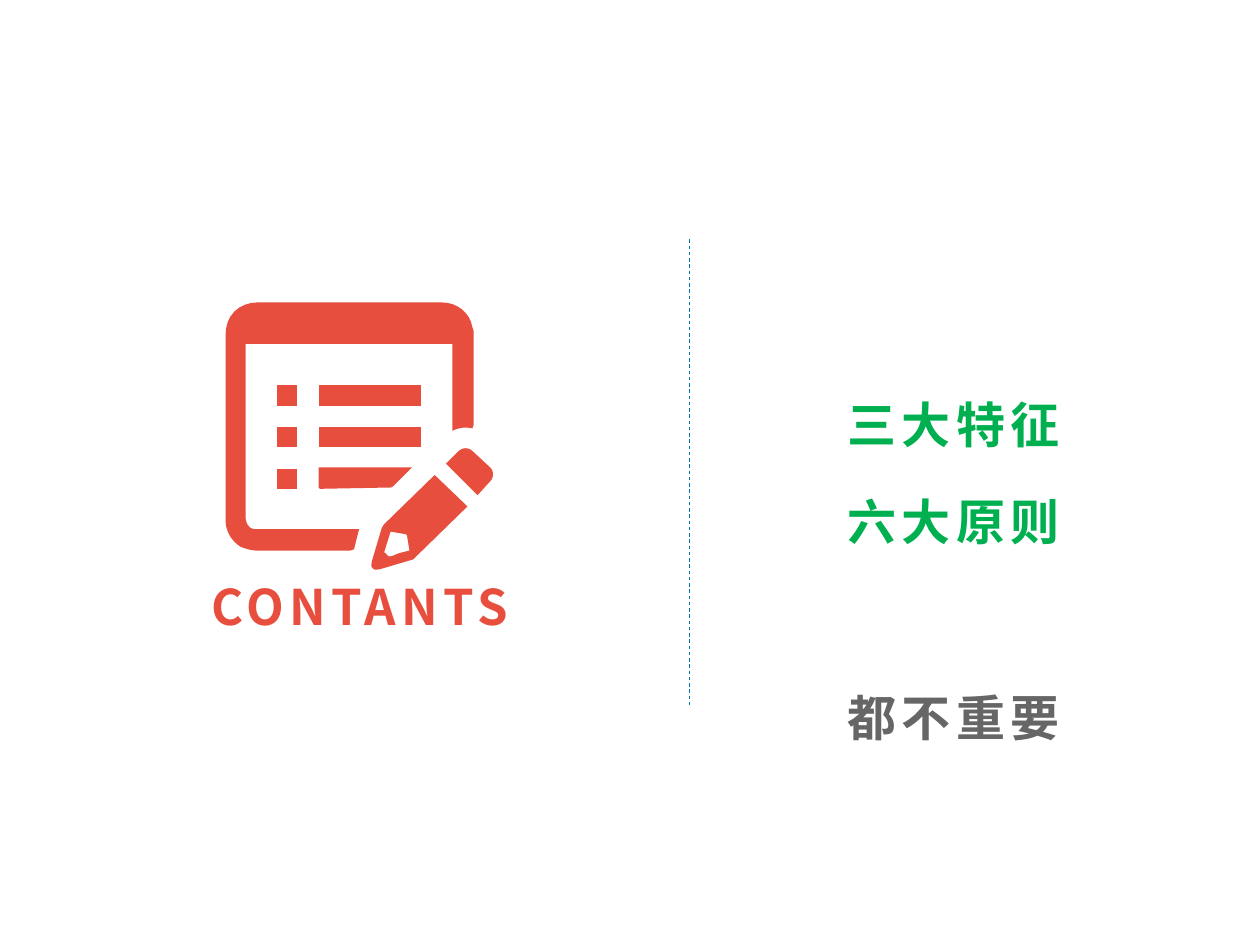
import pptx
import pptx.dml.color
import pptx.enum.dml
import pptx.enum.shapes
import pptx.enum.text
import pptx.oxml
import pptx.oxml.ns
import pptx.util

Inches = pptx.util.Inches

THEME = {
    "font": "Noto Sans CJK SC",
    "size": 28,
    "spacing": 3,
    "red": "E74E3E",
    "green": "00B050",
    "gray": "666666",
    "divider": "0174AB",
}

# Content: wording, colour, top
TOPICS = [
    ("三大特征", "green", 3.08),
    ("六大原则", "green", 3.85),
    ("都不重要", "gray", 5.41),
]
CAPTION = "CONTANTS"

# Icon outlines in inches: a pair is a corner, six numbers are a Bezier curve
UNITS_PER_INCH = 1000
PAGE_FRAME = [
    (2.85, 4.2), (2.81, 4.36), (2.78, 4.37), (2.05, 4.37),
    (2, 4.37, 1.96, 4.36, 1.91, 4.34), (1.83, 4.29, 1.79, 4.21, 1.79, 4.12),
    (1.79, 2.66), (1.79, 2.51, 1.89, 2.4, 2.05, 2.4),
    (3.5, 2.4), (3.63, 2.4, 3.73, 2.48, 3.75, 2.6),
    (3.76, 2.62, 3.76, 2.64, 3.76, 2.66), (3.76, 3.37), (3.75, 3.4),
    (3.7, 3.39, 3.65, 3.39, 3.59, 3.42), (3.59, 2.73), (1.95, 2.73),
    (1.95, 4.1), (1.95, 4.16, 1.98, 4.21, 2.05, 4.2),
]
PENCIL_BODY = [
    (3.45, 3.77), (3.71, 4.02), (3.31, 4.41), (3.28, 4.44), (3.01, 4.52),
    (2.99, 4.52, 2.97, 4.53, 2.96, 4.51), (2.94, 4.5, 2.95, 4.48, 2.95, 4.46),
    (3.03, 4.19), (3.04, 4.18, 3.04, 4.17, 3.05, 4.16),
]
PENCIL_TIP = [
    (3.1, 4.22), (3.05, 4.38), (3.05, 4.38, 3.05, 4.39, 3.06, 4.39),
    (3.08, 4.42, 3.09, 4.42, 3.12, 4.41), (3.17, 4.39), (3.25, 4.37),
    (3.23, 4.25), (3.22, 4.24),
]
ERASER = [
    (3.54, 3.68), (3.64, 3.58), (3.67, 3.55, 3.72, 3.55, 3.75, 3.58),
    (3.89, 3.71), (3.92, 3.74, 3.92, 3.79, 3.89, 3.82), (3.79, 3.93),
]
CUT_ROW = [
    (2.53, 3.71), (3.27, 3.71), (3.12, 3.86),
    (3.11, 3.87, 3.1, 3.87, 3.09, 3.87), (2.54, 3.88), (2.53, 3.87),
]
ROW_TOPS = [3.06, 3.39, 3.72]
ROW_HEIGHT = 0.16
BULLET_LEFT, BULLET_RIGHT = 2.2, 2.36
ROW_LEFT, ROW_RIGHT = 2.53, 3.34


def color(name):
    return pptx.dml.color.RGBColor.from_string(THEME[name])


def trace(outline, steps=8):
    """Turn corners and Bezier curves into a list of points in drawing units."""
    points = []
    for part in outline:
        if len(part) == 2:
            points.append(part)
            continue
        knots = [points[-1], part[:2], part[2:4], part[4:]]
        for step in range(1, steps + 1):
            t = step / steps
            weights = ((1 - t) ** 3, 3 * t * (1 - t) ** 2,
                       3 * t ** 2 * (1 - t), t ** 3)
            points.append(tuple(sum(w * knot[axis] for w, knot in zip(weights, knots))
                                for axis in (0, 1)))
    return [(round(x * UNITS_PER_INCH), round(y * UNITS_PER_INCH)) for x, y in points]


def block(left, right, top):
    bottom = top + ROW_HEIGHT
    return [(left, top), (right, top), (right, bottom), (left, bottom)]


def add_outline(icon, *outlines):
    first, *holes = [trace(outline) for outline in outlines]
    builder = icon.shapes.build_freeform(*first[0], scale=Inches(1) / UNITS_PER_INCH)
    builder.add_line_segments(first[1:], close=True)
    for hole in holes:
        builder.move_to(*hole[0])
        builder.add_line_segments(hole[1:], close=True)
    part = builder.convert_to_shape()
    part.shadow.inherit = False
    part.fill.solid()
    part.fill.fore_color.rgb = color("red")
    part.line.fill.background()


def add_label(slide, wording, tint, left, top, width, align):
    label = slide.shapes.add_textbox(Inches(left), Inches(top), Inches(width), Inches(0.57))
    frame = label.text_frame
    frame.word_wrap = True
    frame.auto_size = pptx.enum.text.MSO_AUTO_SIZE.SHAPE_TO_FIT_TEXT
    frame.margin_top, frame.margin_bottom = Inches(0.05), 0
    paragraph = frame.paragraphs[0]
    paragraph.alignment = align
    run = paragraph.add_run()
    run.text = wording
    run.font.name = THEME["font"]
    run.font.size = pptx.util.Pt(THEME["size"])
    run.font.bold = True
    run.font.color.rgb = color(tint)
    properties = run.font._element
    properties.set("spc", str(THEME["spacing"] * 100))
    east_asian = pptx.oxml.parse_xml(
        f'<a:ea {pptx.oxml.ns.nsdecls("a")} typeface="{THEME["font"]}"/>')
    properties.find(pptx.oxml.ns.qn("a:latin")).addnext(east_asian)


def main():
    deck = pptx.Presentation()
    deck.slide_width, deck.slide_height = Inches(10), Inches(7.5)
    slide = deck.slides.add_slide(deck.slide_layouts[6])

    # Divider
    divider = slide.shapes.add_connector(
        pptx.enum.shapes.MSO_CONNECTOR.STRAIGHT,
        Inches(5.47), Inches(1.9), Inches(5.47), Inches(5.6))
    divider.line.color.rgb = color("divider")
    divider.line.width = pptx.util.Pt(0.5)
    divider.line.dash_style = pptx.enum.dml.MSO_LINE.DASH
    divider._element.spPr.append(pptx.oxml.parse_xml(
        f'<a:effectLst {pptx.oxml.ns.nsdecls("a")}/>'))

    # Topics
    for wording, tint, top in TOPICS:
        add_label(slide, wording, tint, 6.63, top, 1.96, pptx.enum.text.PP_ALIGN.LEFT)

    # Icon: page with list rows and a pencil
    icon = slide.shapes.add_group_shape()
    add_outline(icon, PAGE_FRAME)
    add_outline(icon, PENCIL_BODY, PENCIL_TIP)
    add_outline(icon, ERASER)
    for top in ROW_TOPS:
        add_outline(icon, block(BULLET_LEFT, BULLET_RIGHT, top))
    for top in ROW_TOPS[:-1]:
        add_outline(icon, block(ROW_LEFT, ROW_RIGHT, top))
    add_outline(icon, CUT_ROW)

    # Caption
    add_label(slide, CAPTION, "red", 1.4, 4.53, 2.91, pptx.enum.text.PP_ALIGN.CENTER)

    deck.save("out.pptx")


if __name__ == "__main__":
    main()
